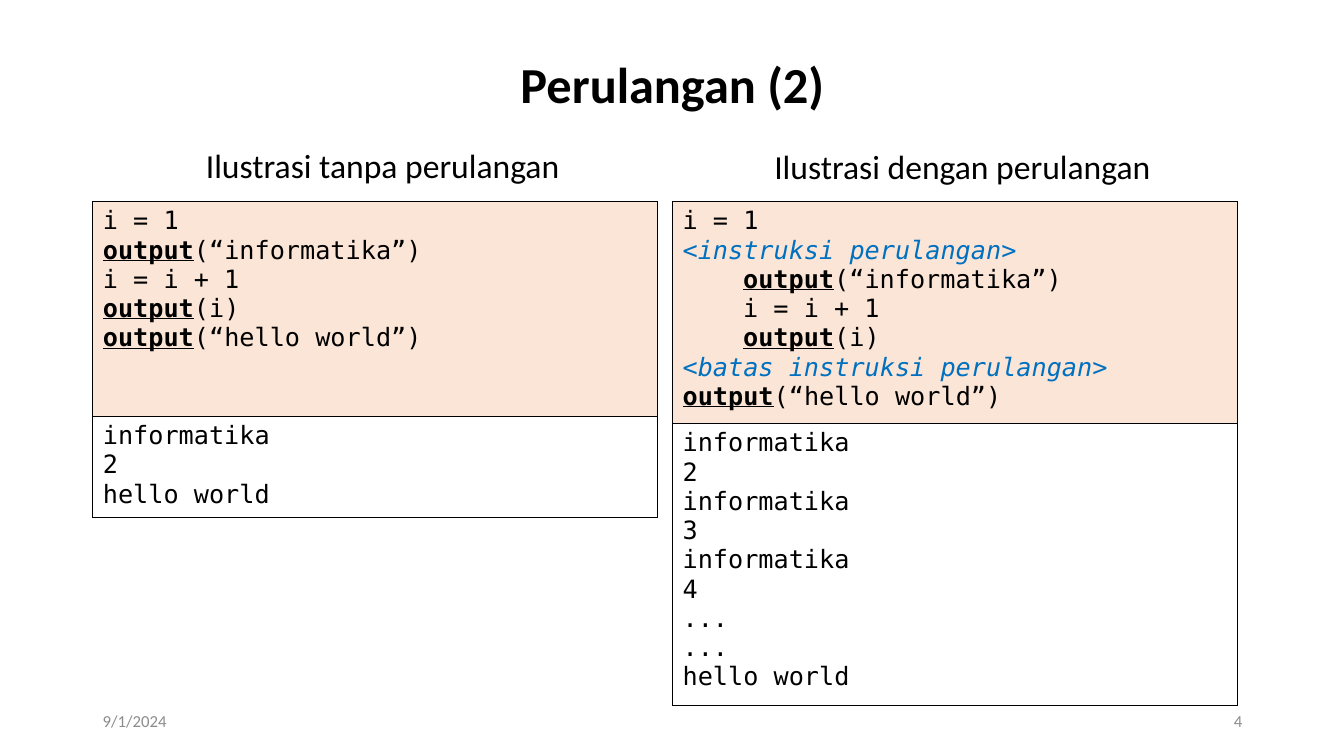
from lxml import etree
from pptx import Presentation, util as u
from pptx.dml.color import RGBColor
from pptx.enum import text
from pptx.oxml import ns

BODY_FONT, CODE_FONT = "Calibri", "DejaVu Sans Mono"
BLACK, GREY, BLUE, PEACH = "000000", "8C8C8C", "0070C0", "FBE5D6"
LINE_HEIGHT, CELL_PADDING = 0.29, 0.1
CENTER, RIGHT = text.PP_ALIGN.CENTER, text.PP_ALIGN.RIGHT
MIDDLE, TOP = text.MSO_ANCHOR.MIDDLE, text.MSO_ANCHOR.TOP


def color(value):
    return RGBColor.from_string(value)


def add_span(para, words, size=18, font=CODE_FONT, fill=BLACK,
             bold=False, italic=False, underline=False):
    span = para.add_run()
    span.text = words
    span.font.size = u.Pt(size)
    span.font.name = font
    span.font.color.rgb = color(fill)
    span.font.bold = bold
    span.font.italic = italic
    span.font.underline = underline


# Each code line is an indent in inches and a list of (words, format) spans
def plain(words, indent=0):
    return indent, [(words, {})]


def output(argument, indent=0):
    return indent, [("output", {"bold": True, "underline": True}), (f"({argument})", {})]


def marker(words):
    return 0, [(words, {"fill": BLUE, "italic": True})]


class SlideBuilder:
    def __init__(self, deck):
        self.slide = deck.slides.add_slide(deck.slide_layouts[6])

    def label(self, words, left, top, width, height, align=None, anchor=MIDDLE,
              line_spacing=None, space_before=0, **style):
        box = self.slide.shapes.add_textbox(
            u.Inches(left), u.Inches(top), u.Inches(width), u.Inches(height))
        frame = box.text_frame
        frame.word_wrap = True
        frame.vertical_anchor = anchor
        para = frame.paragraphs[0]
        para.alignment = align
        para.line_spacing = line_spacing
        para.space_before = u.Pt(space_before)
        add_span(para, words, font=BODY_FONT, **style)

    def borders(self, cell):
        properties = cell._tc.get_or_add_tcPr()
        for side in ("lnL", "lnR", "lnT", "lnB"):
            line = etree.SubElement(properties, ns.qn(f"a:{side}"), w=str(u.Pt(1)))
            solid = etree.SubElement(line, ns.qn("a:solidFill"))
            etree.SubElement(solid, ns.qn("a:srgbClr"), val=BLACK)

    def code_table(self, left, code, result, code_lines):
        heights = [LINE_HEIGHT * count + CELL_PADDING
                   for count in (code_lines, len(result))]
        table = self.slide.shapes.add_table(
            2, 1, u.Inches(left), u.Inches(2), u.Inches(5.6),
            u.Inches(sum(heights))).table
        table.first_row = table.horz_banding = False
        for row, height in zip(table.rows, heights):
            row.height = u.Inches(height)
        for index, lines in enumerate((code, result)):
            cell = table.cell(index, 0)
            self.borders(cell)
            if index == 0:
                cell.fill.solid()
                cell.fill.fore_color.rgb = color(PEACH)
            else:
                cell.fill.background()
            frame = cell.text_frame
            for number, (indent, spans) in enumerate(lines):
                para = frame.add_paragraph() if number else frame.paragraphs[0]
                if indent:
                    para._p.get_or_add_pPr().set("marL", str(u.Inches(indent)))
                for words, style in spans:
                    add_span(para, words, **style)


def main():
    deck = Presentation()
    deck.slide_width, deck.slide_height = u.Inches(13.33), u.Inches(7.5)
    page = SlideBuilder(deck)

    # Title and column headings
    page.label("Perulangan (2)", 0.92, 0.4, 11.5, 0.92, align=CENTER,
               line_spacing=0.9, size=36, bold=True)
    for words, left, top in (("Ilustrasi tanpa perulangan", 0.92, 1.43),
                             ("Ilustrasi dengan perulangan", 6.67, 1.44)):
        page.label(words, left, top, 5.75, 0.57, align=CENTER, anchor=TOP,
                   line_spacing=0.9, space_before=10, size=24)

    # Code above its result, without and with a loop
    start, step = plain("i = 1"), "i = i + 1"
    word, greeting = "“informatika”", output("“hello world”")
    without_loop = [start, output(word), plain(step), output("i"), greeting]
    with_loop = [start, marker("<instruksi perulangan>"), output(word, 0.6),
                 plain(step, 0.6), output("i", 0.6),
                 marker("<batas instruksi perulangan>"), greeting]
    short_result = ["informatika", "2", "hello world"]
    long_result = ["informatika", "2", "informatika", "3", "informatika", "4",
                   "...", "...", "hello world"]
    for left, code, result in ((0.92, without_loop, short_result),
                               (6.67, with_loop, long_result)):
        page.code_table(left, code, [plain(line) for line in result], len(with_loop))

    # Footer
    page.label("9/1/2024", 0.92, 6.95, 3, 0.4, size=12, fill=GREY)
    page.label("4", 9.42, 6.95, 3, 0.4, align=RIGHT, size=12, fill=GREY)

    deck.save("out.pptx")


if __name__ == "__main__":
    main()
